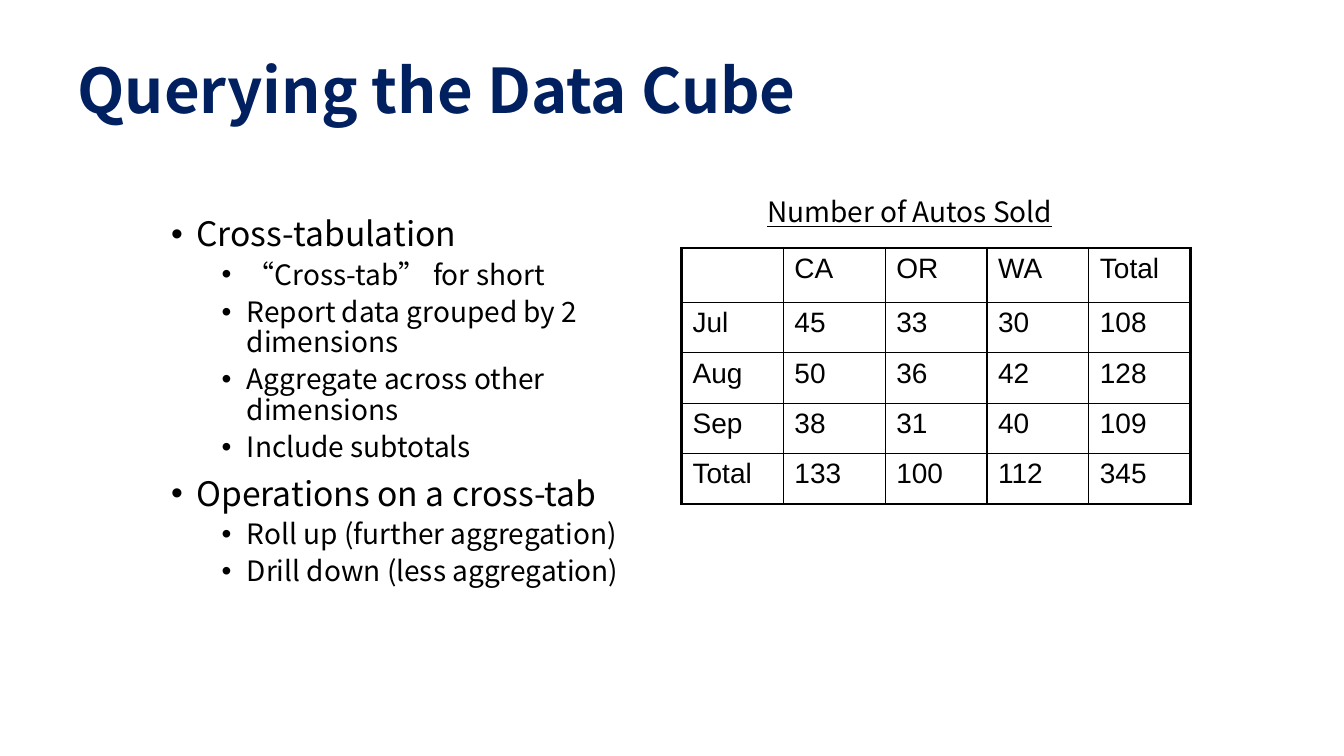
import pptx
import pptx.dml.color
import pptx.enum.text
import pptx.oxml.ns
import pptx.util
from lxml import etree

Inches = pptx.util.Inches
Pt = pptx.util.Pt
qn = pptx.oxml.ns.qn

NAVY = pptx.dml.color.RGBColor(0x00, 0x20, 0x60)
BLACK = pptx.dml.color.RGBColor(0x00, 0x00, 0x00)
BODY_FONT = "Noto Sans CJK SC"
TABLE_FONT = "Arial"


def write_text(paragraph, text, size=20, font=BODY_FONT, color=BLACK, bold=False,
               underline=False, line_spacing=None, space_before=0, bullet_indent=None):
    run = paragraph.add_run()
    run.text = text
    run.font.size = Pt(size)
    run.font.name = font
    run.font.color.rgb = color
    run.font.bold = bold
    run.font.underline = underline
    east_asian = etree.Element(qn("a:ea"), typeface=font)
    run.font._element.find(qn("a:latin")).addnext(east_asian)
    paragraph.space_before = Pt(space_before)
    if line_spacing:
        paragraph.line_spacing = line_spacing
    if bullet_indent:
        properties = paragraph._p.get_or_add_pPr()
        properties.set("marL", str(Inches(bullet_indent)))
        properties.set("indent", str(Inches(-0.25)))
        etree.SubElement(properties, qn("a:buFont"), typeface="Arial")
        etree.SubElement(properties, qn("a:buChar"), char="•")


def add_text_frame(slide, left, top, width, height):
    shape = slide.shapes.add_textbox(Inches(left), Inches(top), Inches(width), Inches(height))
    shape.text_frame.word_wrap = True
    return shape.text_frame


presentation = pptx.Presentation()
presentation.slide_width = Inches(13.33)
presentation.slide_height = Inches(7.5)
slide = presentation.slides.add_slide(presentation.slide_layouts[6])

title_frame = add_text_frame(slide, 0.67, 0.3, 12, 1.25)
title_frame.vertical_anchor = pptx.enum.text.MSO_ANCHOR.MIDDLE
write_text(title_frame.paragraphs[0], "Querying the Data Cube",
           size=44, color=NAVY, bold=True, line_spacing=0.9)

bullets = [
    (0, "Cross-tabulation"),
    (1, "“Cross-tab” for short"),
    (1, "Report data grouped by 2 dimensions"),
    (1, "Aggregate across other dimensions"),
    (1, "Include subtotals"),
    (0, "Operations on a cross-tab"),
    (1, "Roll up (further aggregation)"),
    (1, "Drill down (less aggregation)"),
]
body_frame = add_text_frame(slide, 1.6, 2.11, 5.16, 4.95)
for index, (level, text) in enumerate(bullets):
    paragraph = body_frame.add_paragraph() if index else body_frame.paragraphs[0]
    paragraph.level = level
    write_text(paragraph, text, size=24 - 4 * level, line_spacing=0.9,
               space_before=10 - 5 * level, bullet_indent=0.25 + 0.5 * level)

sales = [
    ["", "CA", "OR", "WA", "Total"],
    ["Jul", "45", "33", "30", "108"],
    ["Aug", "50", "36", "42", "128"],
    ["Sep", "38", "31", "40", "109"],
    ["Total", "133", "100", "112", "345"],
]
last = len(sales) - 1
table = slide.shapes.add_table(len(sales), len(sales[0]), Inches(6.76), Inches(2.46),
                               Inches(5.06), Inches(2.54)).table
table.first_row = False
table.horz_banding = False
for column in table.columns:
    column.width = Inches(1.01)
for row_index, values in enumerate(sales):
    table.rows[row_index].height = Inches(0.5 if row_index else 0.54)
    for column_index, value in enumerate(values):
        cell = table.cell(row_index, column_index)
        cell.margin_left = cell.margin_right = Inches(0.11)
        cell.margin_top = cell.margin_bottom = Inches(0.05)
        if value:
            write_text(cell.text_frame.paragraphs[0], value, font=TABLE_FONT)
        outer_sides = {
            "a:lnL": column_index == 0,
            "a:lnR": column_index == last,
            "a:lnT": row_index == 0,
            "a:lnB": row_index == last,
        }
        cell_properties = cell._tc.get_or_add_tcPr()
        for side, is_outer in outer_sides.items():
            border = etree.SubElement(cell_properties, qn(side),
                                      w=str(Pt(2.25 if is_outer else 1)))
            border_fill = etree.SubElement(border, qn("a:solidFill"))
            etree.SubElement(border_fill, qn("a:srgbClr"), val=str(BLACK))
        cell.fill.background()

caption_frame = add_text_frame(slide, 7.51, 1.88, 3.75, 0.43)
write_text(caption_frame.paragraphs[0], "Number of Autos Sold", underline=True)

presentation.save("out.pptx")
